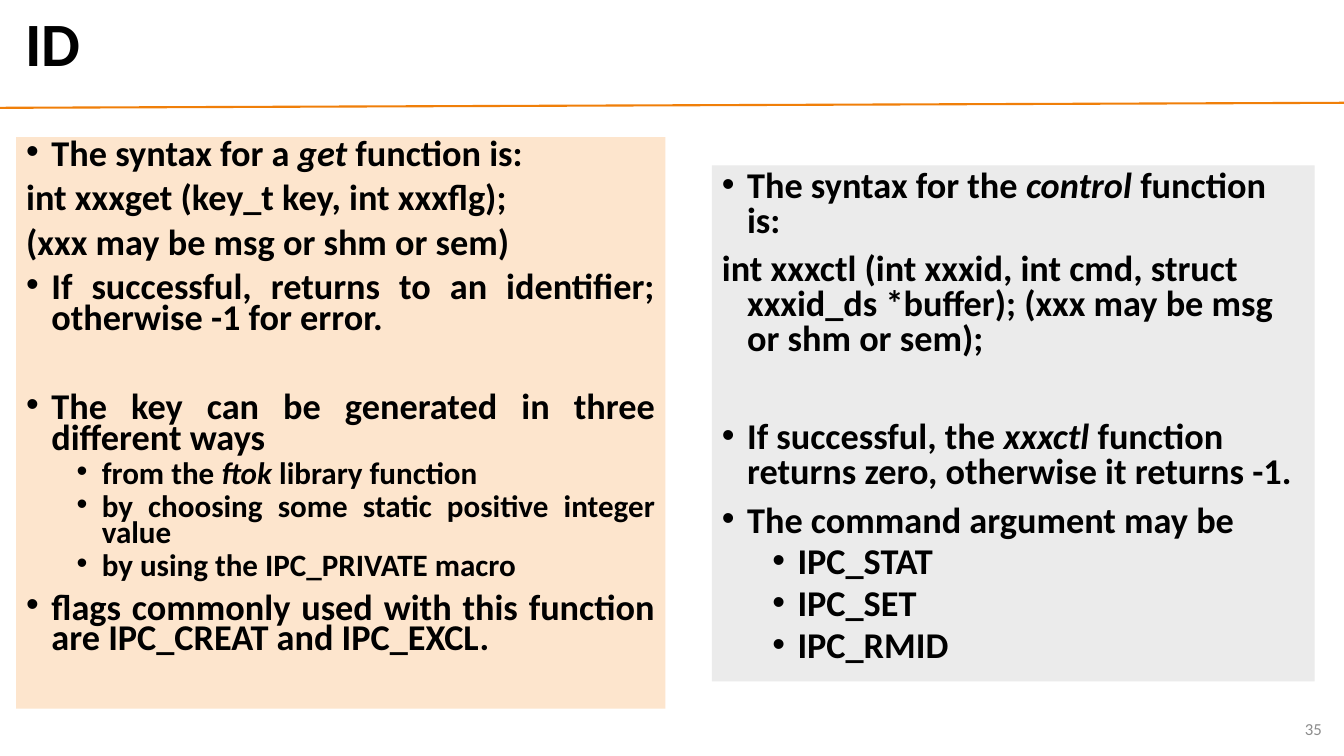
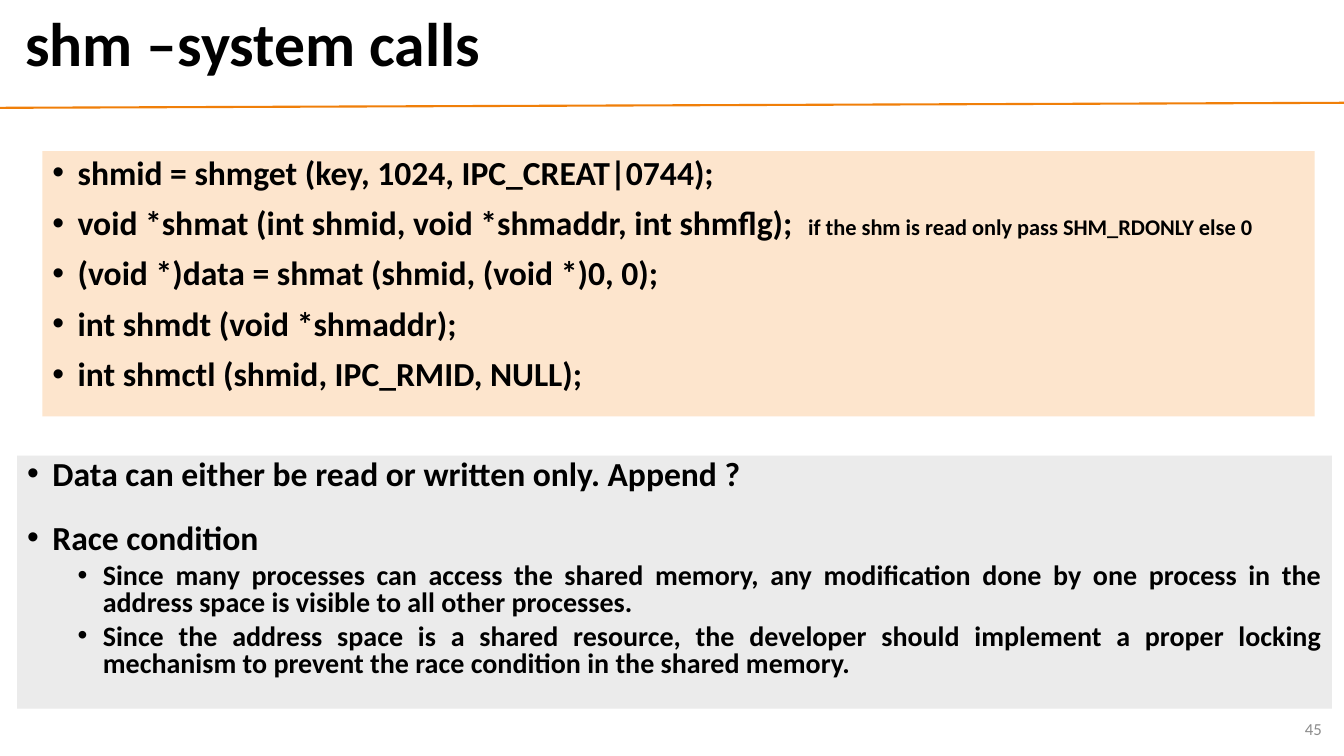
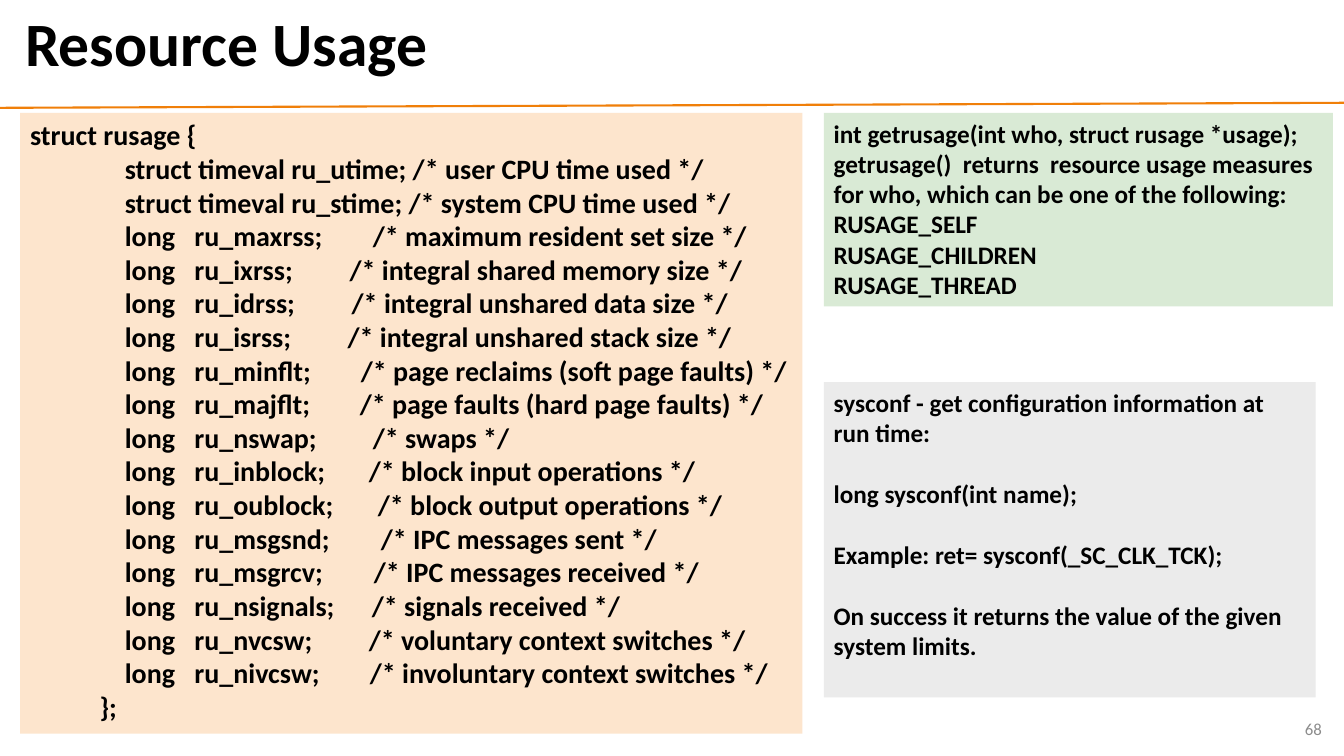
from lxml.etree import SubElement
from pptx import Presentation
from pptx.dml.color import RGBColor
from pptx.enum.shapes import MSO_CONNECTOR
from pptx.enum.text import MSO_ANCHOR, MSO_AUTO_SIZE, PP_ALIGN
from pptx.oxml.ns import qn
from pptx.util import Inches, Pt

PEACH, GREY, GREEN = "FDE5CD", "EBEBEB", "D9EAD5"
BLACK, ORANGE, NUMBER_GREY = "000000", "F07F09", "8C8C8C"
TWO_CONTENT, TITLE_ONLY = 3, 5
ITALIC = {"italic": True}


def rgb(value):
    return RGBColor.from_string(value)


class Deck:
    """Holds the shared style, the current slide and the current panel."""

    font = "Calibri"
    hang = 0.25
    level_indent = 0.5

    def __init__(self):
        self.presentation = Presentation()
        self.presentation.slide_width = Inches(13.33)
        self.presentation.slide_height = Inches(7.5)

    def slide(self, title, number, layout):
        self.current = self.presentation.slides.add_slide(
            self.presentation.slide_layouts[layout])
        self.bodies = [holder for holder in self.current.placeholders
                       if holder.placeholder_format.idx > 0]
        self.rule()
        self.title(title)
        self.number(number)

    def rule(self):
        rule = self.current.shapes.add_connector(
            MSO_CONNECTOR.STRAIGHT, Inches(0), Inches(1.07), Inches(13.33), Inches(1.02))
        rule.line.color.rgb = rgb(ORANGE)
        rule.line.width = Pt(1.5)
        SubElement(rule.line._get_or_add_ln().getparent(), qn("a:effectLst"))

    def title(self, text):
        heading = self.current.shapes.title
        frame = self.place(heading, (0.15, 0.05, 12.89, 0.83), MSO_ANCHOR.MIDDLE)
        line = frame.paragraphs[0]
        line.alignment = PP_ALIGN.LEFT
        line.line_spacing = 0.9
        self.run(line, text, 44)

    def number(self, value):
        box = self.current.shapes.add_textbox(0, 0, 0, 0)
        frame = self.place(box, (10.21, 7.03, 3, 0.4), MSO_ANCHOR.MIDDLE)
        line = frame.paragraphs[0]
        line.alignment = PP_ALIGN.RIGHT
        self.run(line, str(value), 12, NUMBER_GREY, bold=False)

    def place(self, shape, box, anchor=MSO_ANCHOR.TOP):
        shape.left, shape.top, shape.width, shape.height = map(Inches, box)
        frame = shape.text_frame
        frame.word_wrap = True
        frame.auto_size = MSO_AUTO_SIZE.NONE
        frame.vertical_anchor = anchor
        return frame

    def panel(self, box, colour, size, spacing=1.0, before=0, align=PP_ALIGN.LEFT):
        if self.bodies:
            area = self.bodies.pop(0)
        else:
            area = self.current.shapes.add_textbox(0, 0, 0, 0)
        area.fill.solid()
        area.fill.fore_color.rgb = rgb(colour)
        self.frame = self.place(area, box)
        self.fresh = True
        self.size, self.spacing, self.before, self.align = size, spacing, before, align

    def line(self, *runs, before=None, size=None, tabs=()):
        paragraph = self.frame.paragraphs[0] if self.fresh else self.frame.add_paragraph()
        self.fresh = False
        paragraph.alignment = self.align
        paragraph.line_spacing = self.spacing
        paragraph.space_before = Pt(self.before if before is None else before)
        for part in runs:
            text, style = (part, {}) if isinstance(part, str) else part
            self.run(paragraph, text, **{"size": size or self.size, **style})
        if tabs:
            stops = SubElement(paragraph._p.get_or_add_pPr(), qn("a:tabLst"))
            for stop in tabs:
                SubElement(stops, qn("a:tab"), pos=str(Inches(stop)), algn="l")
        return paragraph

    def item(self, *runs, level=0, marked=True, **options):
        paragraph = self.line(*runs, **options)
        paragraph.level = level
        properties = paragraph._p.get_or_add_pPr()
        properties.set("marL", str(Inches(self.hang + level * self.level_indent)))
        properties.set("indent", str(-Inches(self.hang)))
        if marked:
            SubElement(properties, qn("a:buFont"), typeface="Arial")
            SubElement(properties, qn("a:buChar"), char="•")
        else:
            SubElement(properties, qn("a:buNone"))

    def subitem(self, *runs, size=None):
        self.item(*runs, level=1, before=5, size=size)

    def run(self, paragraph, text, size, colour=BLACK, bold=True, italic=False):
        run = paragraph.add_run()
        run.text = text
        run.font.name = self.font
        run.font.size = Pt(size)
        run.font.bold = bold
        run.font.italic = italic
        run.font.color.rgb = rgb(colour)


def identifiers(deck):
    deck.slide("ID", 35, TWO_CONTENT)
    deck.panel((0.16, 1.36, 6.44, 5.67), PEACH, 25.9, 0.7, 10, PP_ALIGN.JUSTIFY)
    deck.item("The syntax for a ", ("get ", ITALIC), "function is:")
    deck.item("int xxxget (key_t key, int xxxflg);", marked=False)
    deck.item("(xxx may be msg or shm or sem)", marked=False)
    deck.item("If successful, returns to an identifier; otherwise -1 for error.")
    deck.item("The key can be generated in three different ways", before=42)
    deck.subitem("from the ", ("ftok ", ITALIC), "library function", size=22.2)
    deck.subitem("by choosing some static positive integer value", size=22.2)
    deck.subitem("by using the IPC_PRIVATE macro", size=22.2)
    deck.item("flags commonly used with this function are IPC_CREAT and IPC_EXCL.")

    deck.panel((7.06, 1.64, 5.98, 5.12), GREY, 25.9, 0.8, 10)
    deck.item("The syntax for the ", ("control ", ITALIC), "function is:")
    deck.item("int xxxctl (int xxxid, int cmd, struct xxxid_ds *buffer); "
              "(xxx may be msg or shm or sem);", marked=False)
    deck.item("If successful, the ", ("xxxctl ", ITALIC),
              "function returns zero, otherwise it returns -1.", before=45)
    deck.item("The command argument may be")
    for command in ("IPC_STAT", "IPC_SET", "IPC_RMID"):
        deck.subitem(command)


def shared_memory(deck):
    deck.slide("shm –system calls", 45, TWO_CONTENT)
    deck.panel((0.42, 1.5, 12.62, 2.63), PEACH, 24, 0.9, 10)
    deck.item("shmid = shmget (key, 1024, IPC_CREAT|0744);")
    deck.item("void *shmat (int shmid, void *shmaddr, int shmflg);  ",
              ("if the shm is read only pass SHM_RDONLY else 0", {"size": 16}))
    deck.item("(void *)data = shmat (shmid, (void *)0, 0);")
    deck.item("int shmdt (void *shmaddr);")
    deck.item("int shmctl (shmid, IPC_RMID, NULL);")

    deck.panel((0.17, 4.52, 13.04, 2.51), GREY, 24, 0.8, 0, PP_ALIGN.JUSTIFY)
    deck.item("Data can either be read or written only. Append ?")
    deck.item("Race condition", before=23)
    deck.subitem("Since many processes can access the shared memory, any modification done by "
                 "one process in the address space is visible to all other processes.", size=20)
    deck.subitem("Since the address space is a shared resource, the developer should implement "
                 "a proper locking mechanism to prevent the race condition in the shared memory.",
                 size=20)


def resource_usage(deck):
    deck.slide("Resource Usage", 68, TITLE_ONLY)
    field_start, name_start = 0.94, 1.63
    counters = [
        ("maxrss", 3.4, "maximum resident set size"),
        ("ixrss", 3.17, "integral shared memory size"),
        ("idrss", 3.19, "integral unshared data size"),
        ("isrss", 3.15, "integral unshared stack size"),
        ("minflt", 3.28, "page reclaims (soft page faults)"),
        ("majflt", 3.27, "page faults (hard page faults)"),
        ("nswap", 3.4, "swaps"),
        ("inblock", 3.36, "block input operations"),
        ("oublock", 3.45, "block output operations"),
        ("msgsnd", 3.48, "IPC messages sent"),
        ("msgrcv", 3.41, "IPC messages received"),
        ("nsignals", 3.39, "signals received"),
        ("nvcsw", 3.36, "voluntary context switches"),
        ("nivcsw", 3.37, "involuntary context switches"),
    ]
    deck.panel((0.2, 1.12, 7.76, 6.16), PEACH, 20)
    deck.line("struct rusage {")
    for name, owner in (("utime", "user"), ("stime", "system")):
        deck.line(f"\tstruct timeval ru_{name}; /* {owner} CPU time used */", tabs=(field_start,))
    for name, comment_start, meaning in counters:
        deck.line(f"\tlong\tru_{name};\t/* {meaning} */",
                  tabs=(field_start, name_start, comment_start))
    deck.line("\t};", tabs=(0.69,))

    deck.panel((8.17, 1.12, 5.05, 1.92), GREEN, 18)
    for text in ("int getrusage(int who, struct rusage *usage);",
                 "getrusage()  returns  resource usage measures",
                 "for who, which can be one of the following:",
                 "RUSAGE_SELF", "RUSAGE_CHILDREN", "RUSAGE_THREAD"):
        deck.line(text)

    deck.panel((8.17, 3.79, 4.88, 3.13), GREY, 18)
    deck.line("sysconf - get configuration information at")
    deck.line("run time:")
    for text in ("long sysconf(int name);", "Example: ret= sysconf(_SC_CLK_TCK);",
                 "On success it returns the value of the given system limits."):
        deck.line(text, before=22)


def main():
    deck = Deck()
    identifiers(deck)
    shared_memory(deck)
    resource_usage(deck)
    deck.presentation.save("out.pptx")


if __name__ == "__main__":
    main()
